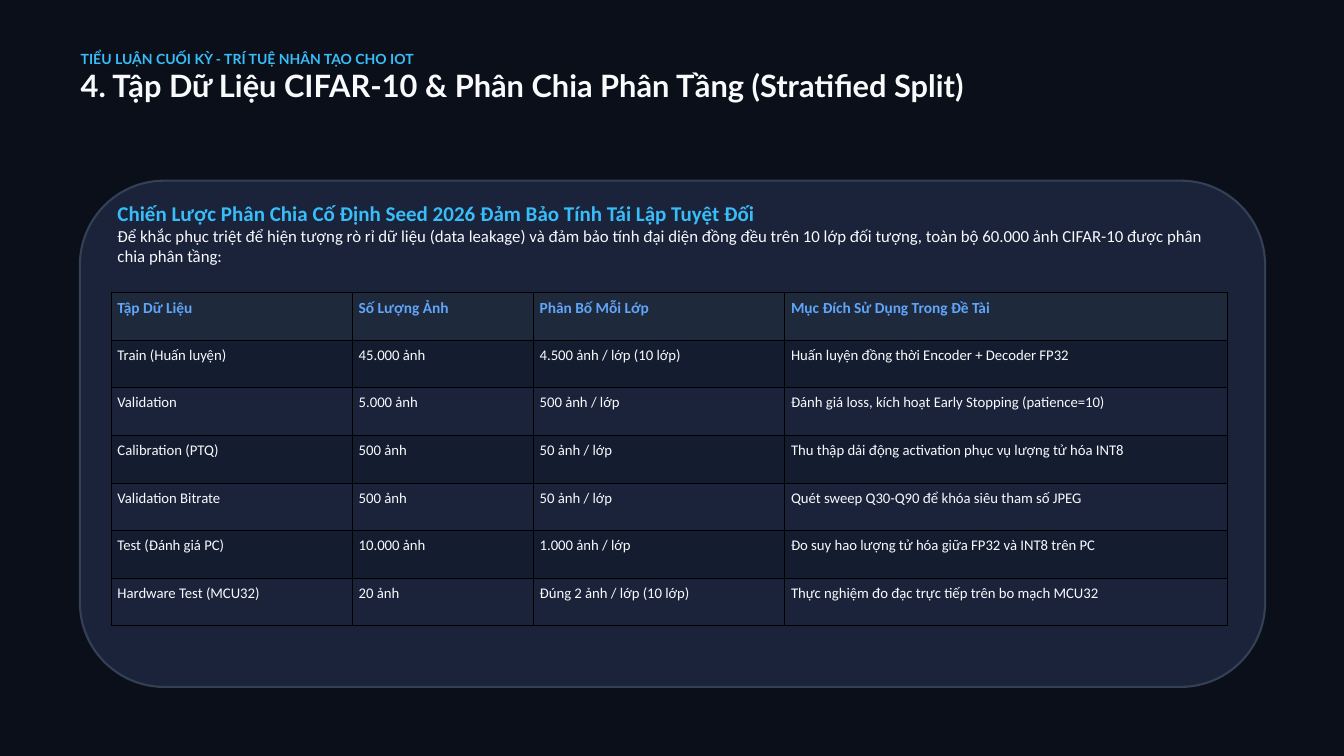
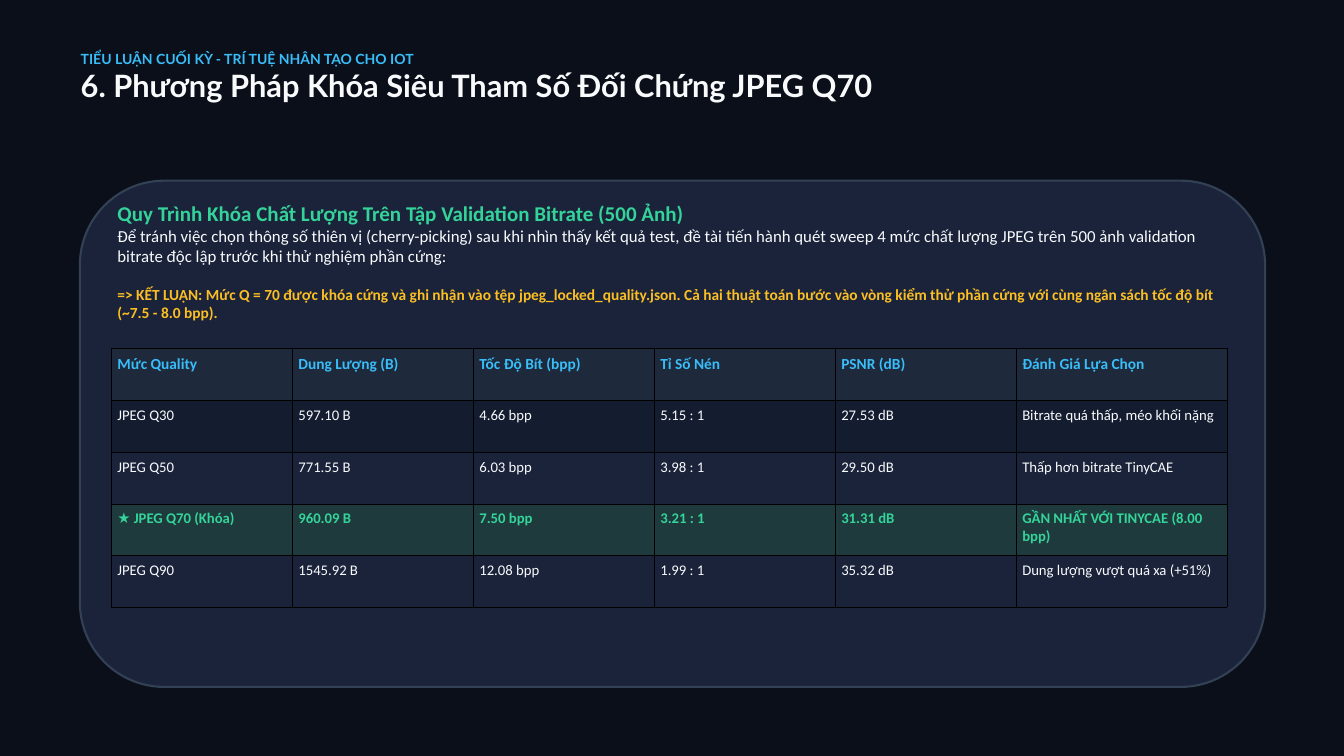
"""Builds two dark slides, each with a card holding an introduction and a table."""
from lxml.etree import SubElement
from pptx import Presentation
from pptx.dml.color import RGBColor
from pptx.enum.shapes import MSO_SHAPE as Preset
from pptx.enum.text import MSO_ANCHOR as Anchor, MSO_AUTO_SIZE as AutoSize, PP_ALIGN as Align
from pptx.oxml.ns import qn
from pptx.util import Cm, Pt

NIGHT = RGBColor(0x0B, 0x0F, 0x19)
CARD = RGBColor(0x1A, 0x23, 0x3A)
CARD_EDGE = RGBColor(0x33, 0x41, 0x55)
HEADER_ROW = RGBColor(0x1E, 0x29, 0x3B)
DARK_ROW = RGBColor(0x14, 0x1C, 0x30)
CHOSEN_ROW = RGBColor(0x1E, 0x3A, 0x3C)
BLACK = RGBColor(0, 0, 0)
WHITE = RGBColor(0xF8, 0xFA, 0xFC)
SKY = RGBColor(0x38, 0xBD, 0xF8)
BLUE = RGBColor(0x60, 0xA5, 0xFA)
GREEN = RGBColor(0x34, 0xD3, 0x99)
AMBER = RGBColor(0xFB, 0xBF, 0x24)

KICKER = "TIỂU LUẬN CUỐI KỲ - TRÍ TUỆ NHÂN TẠO CHO IOT"
STAR = "★"

SLIDES = [
    {
        "title": "4. Tập Dữ Liệu CIFAR-10 & Phân Chia Phân Tầng (Stratified Split)",
        "heading": "Chiến Lược Phân Chia Cố Định Seed 2026 Đảm Bảo Tính Tái Lập Tuyệt Đối",
        "heading_color": SKY,
        "intro": "Để khắc phục triệt để hiện tượng rò rỉ dữ liệu (data leakage) và đảm bảo tính đại diện "
                 "đồng đều trên 10 lớp đối tượng, toàn bộ 60.000 ảnh CIFAR-10 được phân chia phân tầng:",
        "conclusion": None,
        "header_color": BLUE,
        "table_top": 11.05,
        "row_height": 1.8,
        "widths": [9.12, 6.84, 9.5, 16.74],
        "rows": [
            ("Tập Dữ Liệu", "Số Lượng Ảnh", "Phân Bố Mỗi Lớp", "Mục Đích Sử Dụng Trong Đề Tài"),
            ("Train (Huấn luyện)", "45.000 ảnh", "4.500 ảnh / lớp (10 lớp)",
             "Huấn luyện đồng thời Encoder + Decoder FP32"),
            ("Validation", "5.000 ảnh", "500 ảnh / lớp",
             "Đánh giá loss, kích hoạt Early Stopping (patience=10)"),
            ("Calibration (PTQ)", "500 ảnh", "50 ảnh / lớp",
             "Thu thập dải động activation phục vụ lượng tử hóa INT8"),
            ("Validation Bitrate", "500 ảnh", "50 ảnh / lớp",
             "Quét sweep Q30-Q90 để khóa siêu tham số JPEG"),
            ("Test (Đánh giá PC)", "10.000 ảnh", "1.000 ảnh / lớp",
             "Đo suy hao lượng tử hóa giữa FP32 và INT8 trên PC"),
            ("Hardware Test (MCU32)", "20 ảnh", "Đúng 2 ảnh / lớp (10 lớp)",
             "Thực nghiệm đo đạc trực tiếp trên bo mạch MCU32"),
        ],
    },
    {
        "title": "6. Phương Pháp Khóa Siêu Tham Số Đối Chứng JPEG Q70",
        "heading": "Quy Trình Khóa Chất Lượng Trên Tập Validation Bitrate (500 Ảnh)",
        "heading_color": GREEN,
        "intro": "Để tránh việc chọn thông số thiên vị (cherry-picking) sau khi nhìn thấy kết quả test, đề tài "
                 "tiến hành quét sweep 4 mức chất lượng JPEG trên 500 ảnh validation bitrate độc lập trước "
                 "khi thử nghiệm phần cứng:",
        "conclusion": "=> KẾT LUẬN: Mức Q = 70 được khóa cứng và ghi nhận vào tệp jpeg_locked_quality.json. "
                      "Cả hai thuật toán bước vào vòng kiểm thử phần cứng với cùng ngân sách tốc độ bít "
                      "(~7.5 - 8.0 bpp).",
        "header_color": SKY,
        "table_top": 13.16,
        "row_height": 1.96,
        "widths": [6.84] * 5 + [7.98],
        "rows": [
            ("Mức Quality", "Dung Lượng (B)", "Tốc Độ Bít (bpp)", "Tỉ Số Nén", "PSNR (dB)",
             "Đánh Giá Lựa Chọn"),
            ("JPEG Q30", "597.10 B", "4.66 bpp", "5.15 : 1", "27.53 dB", "Bitrate quá thấp, méo khối nặng"),
            ("JPEG Q50", "771.55 B", "6.03 bpp", "3.98 : 1", "29.50 dB", "Thấp hơn bitrate TinyCAE"),
            ("★ JPEG Q70 (Khóa)", "960.09 B", "7.50 bpp", "3.21 : 1", "31.31 dB",
             "GẦN NHẤT VỚI TINYCAE (8.00 bpp)"),
            ("JPEG Q90", "1545.92 B", "12.08 bpp", "1.99 : 1", "35.32 dB", "Dung lượng vượt quá xa (+51%)"),
        ],
    },
]

TITLE_BOX = (3.05, 1.9, 44.73, 4.19)
CARD_BOX = (3.02, 6.83, 44.8, 19.14)
INTRO_BOX = (4.44, 7.59, 41.81, 17.07)
TABLE_LEFT = 4.19
CELL_MARGIN = 0.25
LEADING = 1.2
FRAME = {"margin_left": 0, "margin_top": 0, "margin_right": 0, "margin_bottom": 0,
         "word_wrap": True, "auto_size": AutoSize.NONE, "vertical_anchor": Anchor.TOP}
CELL = {f"margin_{side}": Cm(CELL_MARGIN) for side in ("left", "top", "right", "bottom")}


def assign(target, values):
    """Sets every attribute in values on target."""
    for name, value in values.items():
        setattr(target, name, value)


def box(lengths):
    """Turns a box in centimetres into lengths."""
    return [Cm(length) for length in lengths]


def write(paragraph, text, size, color, bold=True, font="Calibri", before=0):
    """Fills a paragraph with one formatted run."""
    assign(paragraph, {"alignment": Align.LEFT, "line_spacing": Pt(size * LEADING),
                       "space_before": Pt(before), "space_after": Pt(0)})
    run = paragraph.add_run()
    run.text = text
    assign(run.font, {"name": font, "size": Pt(size), "bold": bold})
    run.font.color.rgb = color


def add_title(slide, title):
    """Puts the kicker and the title in the title placeholder."""
    holder = slide.shapes.title
    assign(holder, dict(zip(("left", "top", "width", "height"), box(TITLE_BOX))))
    frame = holder.text_frame
    assign(frame, FRAME)
    write(frame.paragraphs[0], KICKER, 15, SKY, font="Lato")
    write(frame.add_paragraph(), title, 33, WHITE, font="Lato")


def add_card(slide):
    """Draws the rounded card."""
    card = slide.shapes.add_shape(Preset.ROUNDED_RECTANGLE, *box(CARD_BOX))
    card.shadow.inherit = False
    card.fill.solid()
    card.fill.fore_color.rgb = CARD
    card.line.color.rgb = CARD_EDGE
    card.line.width = Pt(2.25)


def add_intro(slide, content):
    """Writes the heading, the introduction and any conclusion."""
    frame = slide.shapes.add_textbox(*box(INTRO_BOX)).text_frame
    assign(frame, FRAME)
    write(frame.paragraphs[0], content["heading"], 22.5, content["heading_color"])
    write(frame.add_paragraph(), content["intro"], 18, WHITE, bold=False)
    if content["conclusion"]:
        write(frame.add_paragraph(), content["conclusion"], 16.5, AMBER, before=19.8)


def add_borders(cell):
    """Gives a cell thin black borders."""
    properties = cell._tc.get_or_add_tcPr()
    for side in ("a:lnL", "a:lnR", "a:lnT", "a:lnB"):
        border = SubElement(properties, qn(side), w=str(Pt(0.37)))
        SubElement(SubElement(border, qn("a:solidFill")), qn("a:srgbClr"), val=str(BLACK))


def row_style(index, row, header_color):
    """Returns the fill, text colour, size and weight of a row."""
    if index == 0:
        return HEADER_ROW, header_color, 16.5, True
    if row[0].startswith(STAR):
        return CHOSEN_ROW, GREEN, 15.75, True
    return (DARK_ROW if index % 2 else CARD), WHITE, 15.75, False


def add_data_table(slide, content):
    """Builds the table of a slide."""
    rows, widths, height = content["rows"], content["widths"], content["row_height"]
    place = box((TABLE_LEFT, content["table_top"], sum(widths), height * len(rows)))
    table = slide.shapes.add_table(len(rows), len(widths), *place).table
    table.horz_banding = False
    for column, width in zip(table.columns, widths):
        column.width = Cm(width)
    for index, row in enumerate(rows):
        table.rows[index].height = Cm(height)
        fill, color, size, bold = row_style(index, row, content["header_color"])
        for cell, text in zip(table.rows[index].cells, row):
            assign(cell, CELL)
            add_borders(cell)
            cell.fill.solid()
            cell.fill.fore_color.rgb = fill
            write(cell.text_frame.paragraphs[0], text, size, color, bold)


def main():
    """Builds and saves the presentation."""
    deck = Presentation()
    deck.slide_width, deck.slide_height = Cm(50.8), Cm(28.58)
    backdrop = deck.slide_master.background.fill
    backdrop.solid()
    backdrop.fore_color.rgb = NIGHT
    title_only = deck.slide_layouts.get_by_name("Title Only")
    for content in SLIDES:
        slide = deck.slides.add_slide(title_only)
        add_title(slide, content["title"])
        add_card(slide)
        add_intro(slide, content)
        add_data_table(slide, content)
    deck.save("out.pptx")


if __name__ == "__main__":
    main()
